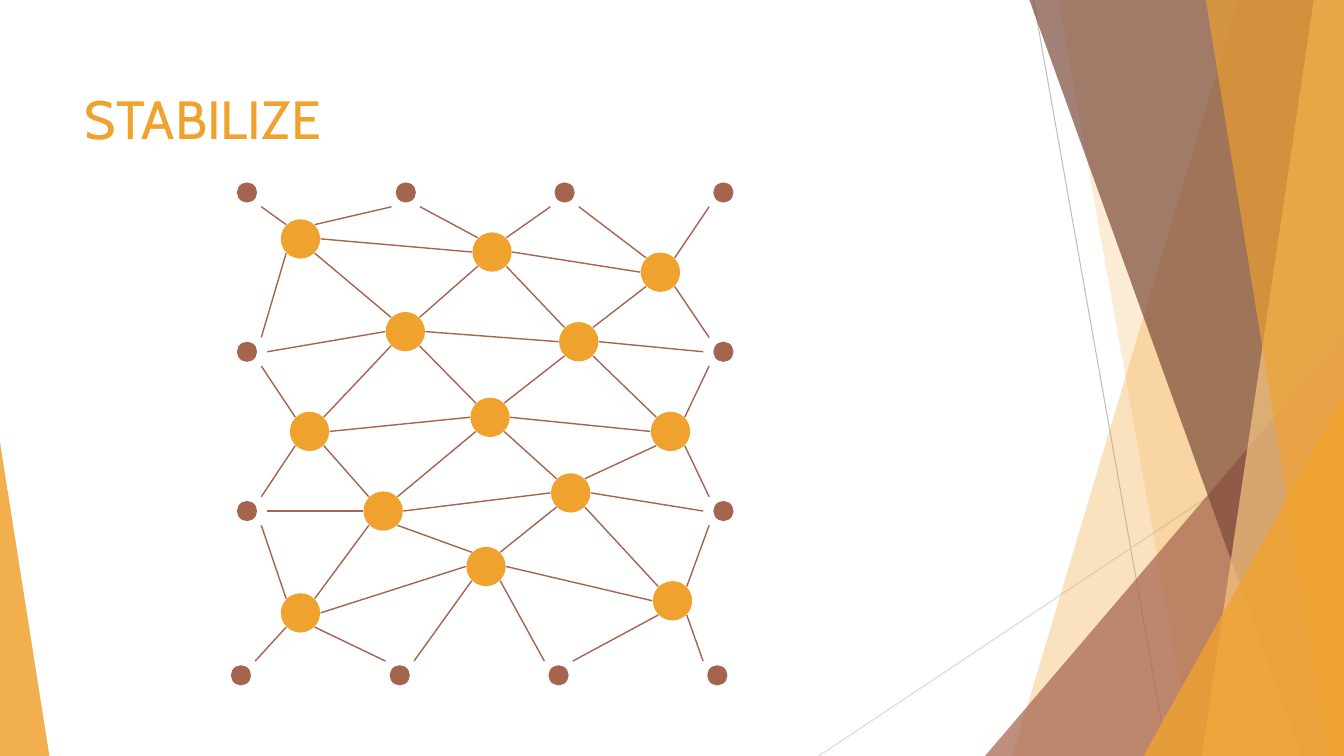
from math import atan2, cos, pi, sin
from typing import NamedTuple

from lxml.etree import SubElement
from pptx import Presentation
from pptx.dml.color import RGBColor
from pptx.enum.shapes import MSO_CONNECTOR, MSO_SHAPE
from pptx.enum.text import MSO_ANCHOR, PP_ALIGN
from pptx.oxml.ns import qn
from pptx.util import Inches, Pt

WIDE, HIGH = 13.33, 7.5
REACH = 0.2  # distance from a node's centre to the ends of its links
COLORS = {
    "gold": "F0A22E", "rust": "A5644E", "brown": "7C4B3B",
    "sand": "F6C782", "gray": "BFBFBF", "pale": "D9D9D9",
}


class Band(NamedTuple):
    """Area right of a slanted edge that runs from top to foot."""
    top: float
    foot: float
    color: str
    alpha: int


class Wedge(NamedTuple):
    """Right triangle; tip is 0 for a left apex and 1 for a right one."""
    left: float
    top: float
    width: float
    tip: float
    color: str
    alpha: int


class Node(NamedTuple):
    x: float
    y: float
    size: float
    color: str


deck = Presentation()
deck.slide_width, deck.slide_height = Inches(WIDE), Inches(HIGH)
slide = deck.slides.add_slide(deck.slide_layouts[5])
shapes = slide.shapes


def paint(shape, color: str, alpha: int = 100) -> None:
    shape.shadow.inherit = False
    shape.line.fill.background()
    shape.fill.solid()
    shape.fill.fore_color.rgb = RGBColor.from_string(COLORS[color])
    if alpha < 100:
        tint = shape.fill._xPr.find(".//" + qn("a:srgbClr"))
        SubElement(tint, qn("a:alpha")).set("val", str(alpha * 1000))


def draw_line(x1: float, y1: float, x2: float, y2: float,
              color: str, width: float) -> None:
    line = shapes.add_connector(
        MSO_CONNECTOR.STRAIGHT, Inches(x1), Inches(y1), Inches(x2), Inches(y2))
    line.line.color.rgb = RGBColor.from_string(COLORS[color])
    line.line.width = Pt(width)
    SubElement(line._element.spPr, qn("a:effectLst"))


def draw_band(band: Band) -> None:
    form = shapes.build_freeform(Inches(band.top), 0)
    form.add_line_segments([
        (Inches(WIDE), 0), (Inches(WIDE), Inches(HIGH)),
        (Inches(band.foot), Inches(HIGH))])
    paint(form.convert_to_shape(), band.color, band.alpha)


def draw_wedge(wedge: Wedge) -> None:
    shape = shapes.add_shape(
        MSO_SHAPE.ISOSCELES_TRIANGLE, Inches(wedge.left), Inches(wedge.top),
        Inches(wedge.width), Inches(HIGH - wedge.top))
    shape.adjustments[0] = wedge.tip
    paint(shape, wedge.color, wedge.alpha)


def draw_node(node: Node) -> None:
    half = node.size / 2
    dot = shapes.add_shape(
        MSO_SHAPE.OVAL, Inches(node.x - half), Inches(node.y - half),
        Inches(node.size), Inches(node.size))
    paint(dot, node.color)


def draw_link(start: Node, end: Node) -> None:
    """Join two nodes at the nearest of their eight compass points."""
    angle = atan2(end.y - start.y, end.x - start.x)
    turn = round(angle / (pi / 4)) * pi / 4
    dx, dy = REACH * cos(turn), REACH * sin(turn)
    draw_line(start.x + dx, start.y + dy, end.x - dx, end.y - dy, "rust", 1)


# Backdrop, from back to front
draw_line(10.25, 0, 11.58, HIGH, "gray", 0.75)
draw_line(WIDE, 4.03, 8.12, HIGH, "pale", 0.75)
BACKDROP = [
    Band(12.28, 10.04, "gold", 30),
    Band(10.5, 11.83, "gold", 20),
    Wedge(9.77, 3.33, 3.56, 1, "rust", 72),
    Band(10.21, 12.91, "brown", 70),
    Band(13.03, 11.92, "sand", 70),
    Band(11.96, 13.18, "gold", 65),
    Wedge(11.34, 3.93, 1.99, 1, "gold", 80),
    Wedge(0, 4.39, 0.49, 0, "gold", 85),
]
for part in BACKDROP:
    if isinstance(part, Band):
        draw_band(part)
    else:
        draw_wedge(part)

# Inner nodes: five rows, a to e
ROWS = {
    "a": [(2.98, 2.37), (4.88, 2.5), (6.55, 2.7)],
    "b": [(4.02, 3.29), (5.74, 3.39)],
    "c": [(3.07, 4.28), (4.86, 4.14), (6.65, 4.28)],
    "d": [(3.8, 5.07), (5.66, 4.89)],
    "e": [(2.98, 6.08), (4.82, 5.62), (6.67, 5.96)],
}
nodes = {f"{row}{i}": Node(x, y, 0.39, "gold")
         for row, spots in ROWS.items() for i, (x, y) in enumerate(spots)}

# Rim nodes: border of a four by four grid, named by row and column
RIM = [(2.45, 1.91), (2.45, 3.49), (2.45, 5.07), (2.39, 6.7)]
STEP = 1.575
for row, (left, y) in enumerate(RIM):
    for col in range(4):
        if row in (0, 3) or col in (0, 3):
            nodes[f"{row}{col}"] = Node(left + STEP * col, y, 0.2, "rust")

# Links from each inner node
LINKS = {
    "a0": "00 01 a1 b0 10", "a1": "01 02 a2 b0 b1", "a2": "02 03 b1 13",
    "b0": "10 b1 c0 c1", "b1": "13 c1 c2",
    "c0": "10 c1 d0 20", "c1": "c2 d0 d1", "c2": "13 d1 23",
    "d0": "20 d1 e0 e1", "d1": "23 e1 e2",
    "e0": "20 e1 30 31", "e1": "e2 31 32", "e2": "23 32 33",
}
for start, ends in LINKS.items():
    for end in ends.split():
        draw_link(nodes[start], nodes[end])
for node in nodes.values():
    draw_node(node)

# Title in small capitals
title = shapes.title
title.left, title.top = Inches(0.74), Inches(0.67)
title.width, title.height = Inches(9.4), Inches(1.44)
frame = title.text_frame
frame.text = "stabilize"
frame.word_wrap = True
frame.vertical_anchor = MSO_ANCHOR.TOP
frame.paragraphs[0].alignment = PP_ALIGN.LEFT
run = frame.paragraphs[0].runs[0]
run.font.name = "Cabin"
run.font.size = Pt(48)
run.font.color.rgb = RGBColor.from_string(COLORS["gold"])
run._r.get_or_add_rPr().set("cap", "small")

deck.save("out.pptx")
